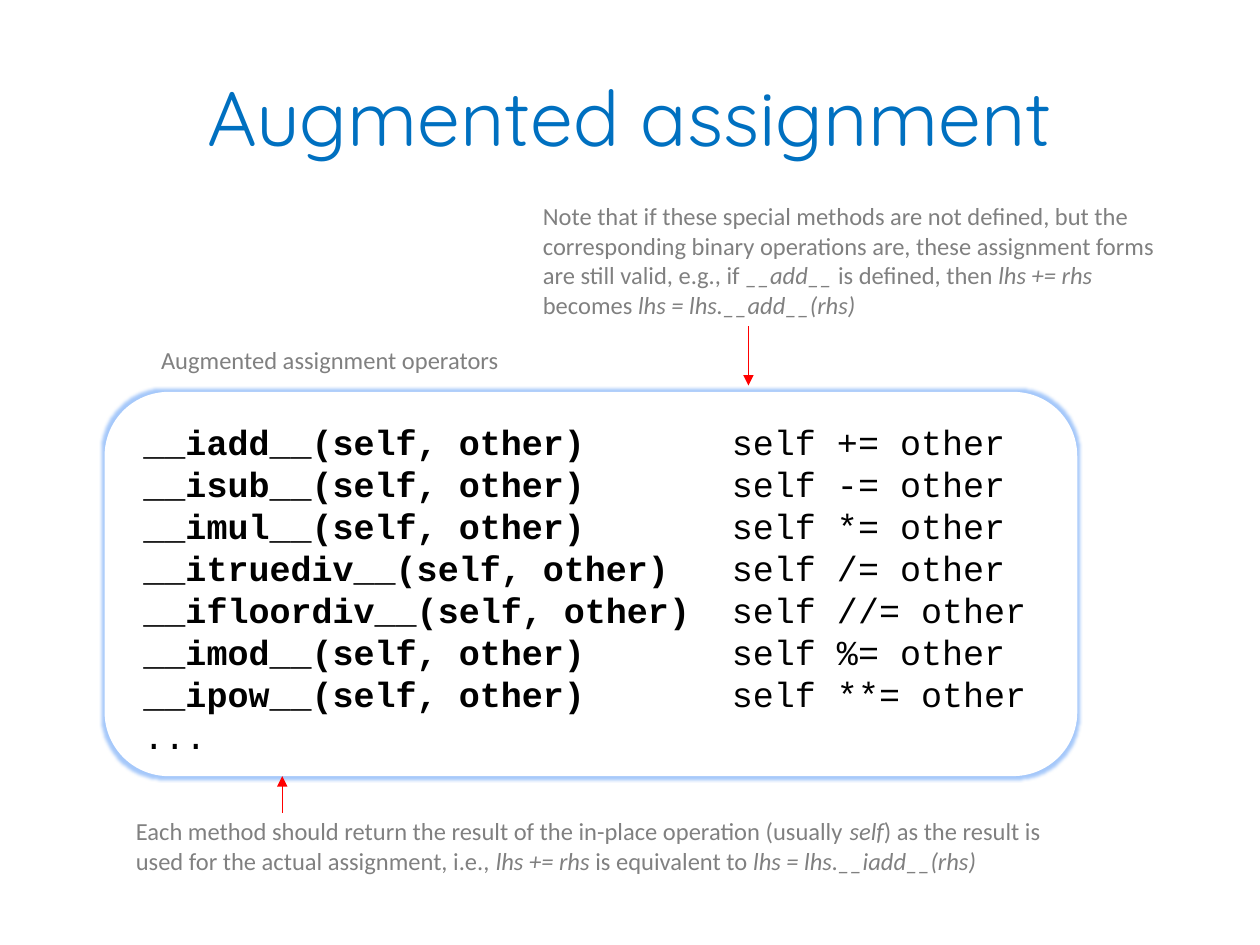
import pptx
import pptx.dml.color
import pptx.enum.shapes
import pptx.enum.text
import pptx.oxml
import pptx.oxml.ns
import pptx.util
from lxml import etree
from pptx.util import Inches

BLUE, GRAY, RED, BLACK, WHITE, GLOW = "0070C0", "808080", "FF0000", "000000", "FFFFFF", "A5C8FA"
OPERATORS = [("iadd", "+="), ("isub", "-="), ("imul", "*="), ("itruediv", "/="),
             ("ifloordiv", "//="), ("imod", "%="), ("ipow", "**=")]


def color(value):
    return pptx.dml.color.RGBColor.from_string(value)


def add_xml(parent, tag, **attributes):
    return etree.SubElement(parent, pptx.oxml.ns.qn(tag), **attributes)


class SlideBuilder:
    """Holds the text style and the current slide."""
    note_font, code_font, title_font = "Calibri", "Courier New", "Quicksand"

    def __init__(self, page):
        self.page = page

    def set_font(self, para, name, size, value):
        para.font.name = name
        para.font.size = pptx.util.Pt(size)
        para.font.color.rgb = color(value)

    def title(self, text, left, top, width, height):
        box = self.page.shapes.title
        box.left, box.top, box.width, box.height = map(Inches, (left, top, width, height))
        frame = box.text_frame
        frame.text = text
        frame.vertical_anchor = pptx.enum.text.MSO_ANCHOR.MIDDLE
        para = frame.paragraphs[0]
        para.alignment = pptx.enum.text.PP_ALIGN.CENTER
        self.set_font(para, self.title_font, 44, BLUE)

    def note(self, spans, left, top, width, height, wrap=True):
        """Every second span is italic."""
        box = self.page.shapes.add_textbox(*map(Inches, (left, top, width, height)))
        frame = box.text_frame
        frame.word_wrap = wrap
        frame.auto_size = pptx.enum.text.MSO_AUTO_SIZE.SHAPE_TO_FIT_TEXT
        para = frame.paragraphs[0]
        self.set_font(para, self.note_font, 14, GRAY)
        for index, text in enumerate(spans):
            span = para.add_run()
            span.text = text
            if index % 2:
                span.font.italic = True

    def code_card(self, rows, left, top, width, height, tab):
        """Each row is a bold call and a plain expression set at the tab."""
        card = self.page.shapes.add_shape(pptx.enum.shapes.MSO_SHAPE.ROUNDED_RECTANGLE,
                                          *map(Inches, (left, top, width, height)))
        card.fill.solid()
        card.fill.fore_color.rgb = color(WHITE)
        card.line.fill.background()
        card.shadow.inherit = False

        # Soft blue glow around the card
        effects = card._element.spPr.find(pptx.oxml.ns.qn("a:effectLst"))
        glow = add_xml(effects, "a:glow", rad=str(Inches(0.05)))
        add_xml(glow, "a:srgbClr", val=GLOW)

        frame = card.text_frame
        frame.word_wrap = True
        frame.vertical_anchor = pptx.enum.text.MSO_ANCHOR.TOP
        frame.margin_left = frame.margin_right = Inches(0.16)
        frame.margin_top = frame.margin_bottom = Inches(0.08)
        for index, (call, expression) in enumerate(rows):
            para = frame.add_paragraph() if index else frame.paragraphs[0]
            para.alignment = pptx.enum.text.PP_ALIGN.LEFT
            if call:
                stops = add_xml(para._p.get_or_add_pPr(), "a:tabLst")
                add_xml(stops, "a:tab", pos=str(Inches(tab)), algn="l")
                span = para.add_run()
                span.text = call
                span.font.bold = True
            para.add_run().text = "\t" + expression if call else expression
            self.set_font(para, self.code_font, 20, BLACK)

    def arrow(self, x, start, end):
        line = self.page.shapes.add_connector(pptx.enum.shapes.MSO_CONNECTOR.STRAIGHT,
                                              *map(Inches, (x, start, x, end)))
        line.line.color.rgb = color(RED)
        line.line.width = pptx.util.Pt(0.75)
        add_xml(line.line._get_or_add_ln(), "a:tailEnd", type="triangle")
        add_xml(line._element.spPr, "a:effectLst")


def main():
    deck = pptx.Presentation()
    deck.slide_width, deck.slide_height = Inches(10), Inches(7.5)
    builder = SlideBuilder(deck.slides.add_slide(deck.slide_layouts[5]))

    builder.title("Augmented assignment", 0.5, 0.29, 9, 1.25)

    # Operator methods and the expressions that call them
    rows = [(f"__{name}__(self, other)", f"self {sign} other") for name, sign in OPERATORS]
    builder.code_card(rows + [("", "...")], 0.83, 3.11, 7.72, 3.05, tab=4.67)
    builder.note(["Augmented assignment operators"], 1.18, 2.69, 2.91, 0.34, wrap=False)

    # Remark on the return value, below the card
    builder.note(["Each method should return the result of the in-place operation (usually ",
                  "self", ") as the result is used for the actual assignment, i.e., ",
                  "lhs += rhs", " is equivalent to ", "lhs = lhs.__iadd__(rhs)"],
                 0.98, 6.43, 7.4, 0.57)
    builder.arrow(2.24, 6.45, 6.16)

    # Remark on the fallback, above the card
    builder.arrow(5.94, 2.59, 3.06)
    builder.note(["Note that if these special methods are not defined, but the corresponding "
                  "binary operations are, these assignment forms are still valid, e.g., if ",
                  "__add__", " is defined, then ", "lhs += rhs", " becomes ",
                  "lhs = lhs.__add__(rhs)"], 4.21, 1.55, 5.28, 1.04)

    deck.save("out.pptx")


if __name__ == "__main__":
    main()
